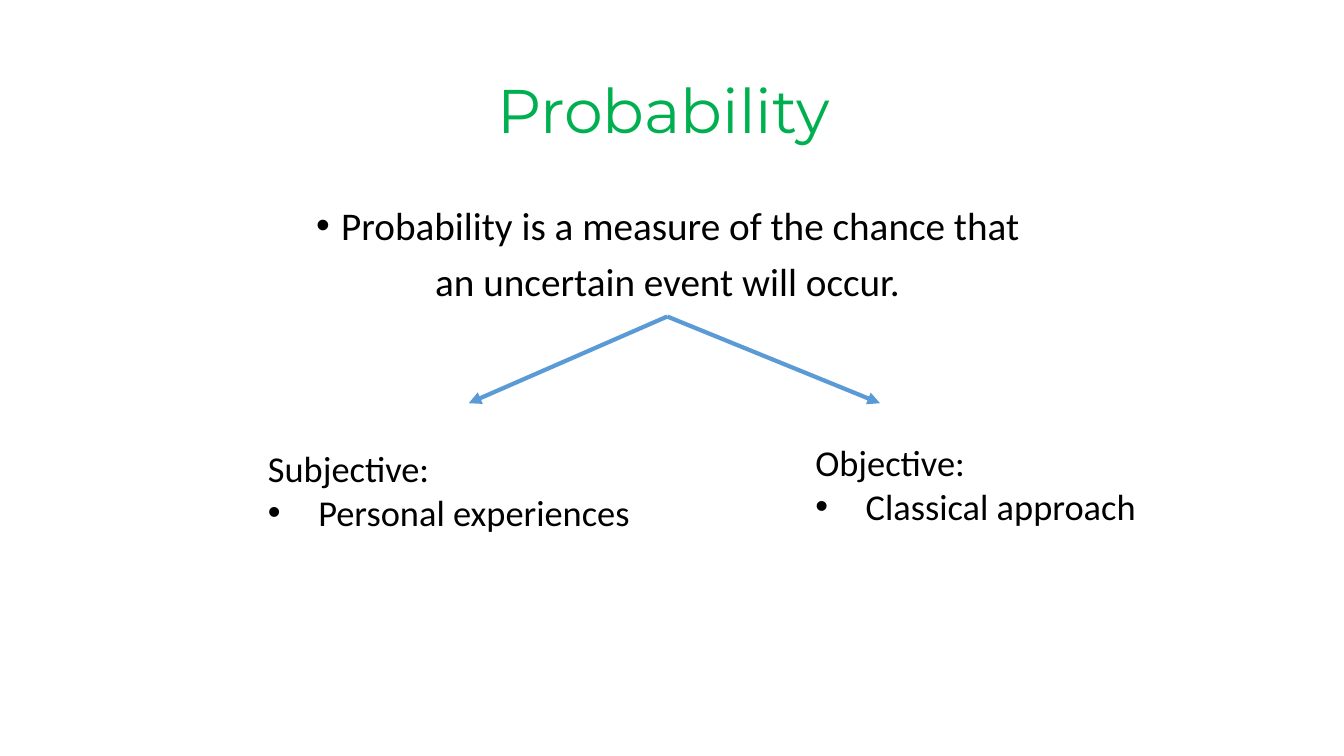
from lxml.etree import SubElement
from pptx import Presentation
from pptx.dml.color import RGBColor
from pptx.enum.shapes import MSO_CONNECTOR
from pptx.enum.text import MSO_ANCHOR, MSO_AUTO_SIZE, PP_ALIGN
from pptx.oxml.ns import qn
from pptx.util import Pt

BLACK, GREEN, BLUE = "000000", "00B050", "5B9BD5"
BODY_FORMAT = {"alignment": PP_ALIGN.CENTER, "line_spacing": 0.9}
LIST_FORMAT = {"alignment": PP_ALIGN.LEFT, "line_spacing": 1.0}


def color(value):
    return RGBColor.from_string(value)


def set_all(target, values):
    for name, value in values.items():
        setattr(target, name, value)


def place(shape, box):
    set_all(shape, dict(zip(("left", "top", "width", "height"), map(Pt, box))))


def set_bullet(paragraph, indent):
    """Hang a bullet by indent points, or remove it when indent is 0."""
    properties = paragraph._p.get_or_add_pPr()
    properties.set("marL", str(Pt(indent)))
    properties.set("indent", str(-Pt(indent)))
    if indent:
        SubElement(properties, qn("a:buFont"), typeface="Arial")
        SubElement(properties, qn("a:buChar"), char="•")
    else:
        SubElement(properties, qn("a:buNone"))


def write(frame, lines, size, formats, font="Calibri", hex_color=BLACK, gap=0):
    """Write (text, bullet indent) lines with a gap between paragraphs."""
    frame.word_wrap = True
    for index, (text, indent) in enumerate(lines):
        paragraph = frame.add_paragraph() if index else frame.paragraphs[0]
        set_bullet(paragraph, indent)
        set_all(paragraph, formats)
        paragraph.space_before = Pt(gap if index else 0)
        run = paragraph.add_run()
        run.text = text
        set_all(run.font, {"name": font, "size": Pt(size)})
        run.font.color.rgb = color(hex_color)


def add_title(slide, box):
    title = slide.shapes.title
    place(title, box)
    set_all(title.text_frame, {"vertical_anchor": MSO_ANCHOR.MIDDLE,
                               "auto_size": MSO_AUTO_SIZE.NONE})
    write(title.text_frame, [("Probability ", 0)], 44, BODY_FORMAT,
          "Montserrat", GREEN)


def add_definition(slide, box):
    body = slide.placeholders[1]
    place(body, box)
    set_all(body.text_frame, {"vertical_anchor": MSO_ANCHOR.TOP,
                              "auto_size": MSO_AUTO_SIZE.NONE})
    write(body.text_frame,
          [("Probability is a measure of the chance that ", 18),
           ("an uncertain event will occur. ", 0)],
          28, BODY_FORMAT, gap=10)


def add_branches(slide, box, apex):
    """Draw arrows from the apex on the top edge to both lower corners."""
    left, top, width, height = box
    for end in (left, left + width):
        arrow = slide.shapes.add_connector(
            MSO_CONNECTOR.STRAIGHT, Pt(left + apex), Pt(top),
            Pt(end), Pt(top + height))
        arrow.line.color.rgb = color(BLUE)
        arrow.line.width = Pt(3)
        SubElement(arrow.line._get_or_add_ln(), qn("a:tailEnd"), type="triangle")
        SubElement(arrow._element.spPr, qn("a:effectLst"))


def add_kind(slide, box, heading, example):
    text_box = slide.shapes.add_textbox(*map(Pt, box))
    write(text_box.text_frame, [(heading, 0), (example, 36)], 26, LIST_FORMAT)
    text_box.text_frame.auto_size = MSO_AUTO_SIZE.SHAPE_TO_FIT_TEXT


def main():
    presentation = Presentation()
    set_all(presentation, {"slide_width": Pt(960), "slide_height": Pt(540)})
    slide = presentation.slides.add_slide(presentation.slide_layouts[1])
    add_title(slide, (66, 28.75, 828, 104.4))
    add_definition(slide, (66, 143.75, 828, 342.6))
    add_branches(slide, (334.8, 226.1, 293.8, 61.9), 141.8)
    add_kind(slide, (184.3, 315.4, 300.2, 70.6),
             "Subjective:", "Personal experiences")
    add_kind(slide, (575.3, 311, 384.5, 70.6),
             "Objective:", "Classical approach")
    presentation.save("out.pptx")


if __name__ == "__main__":
    main()
